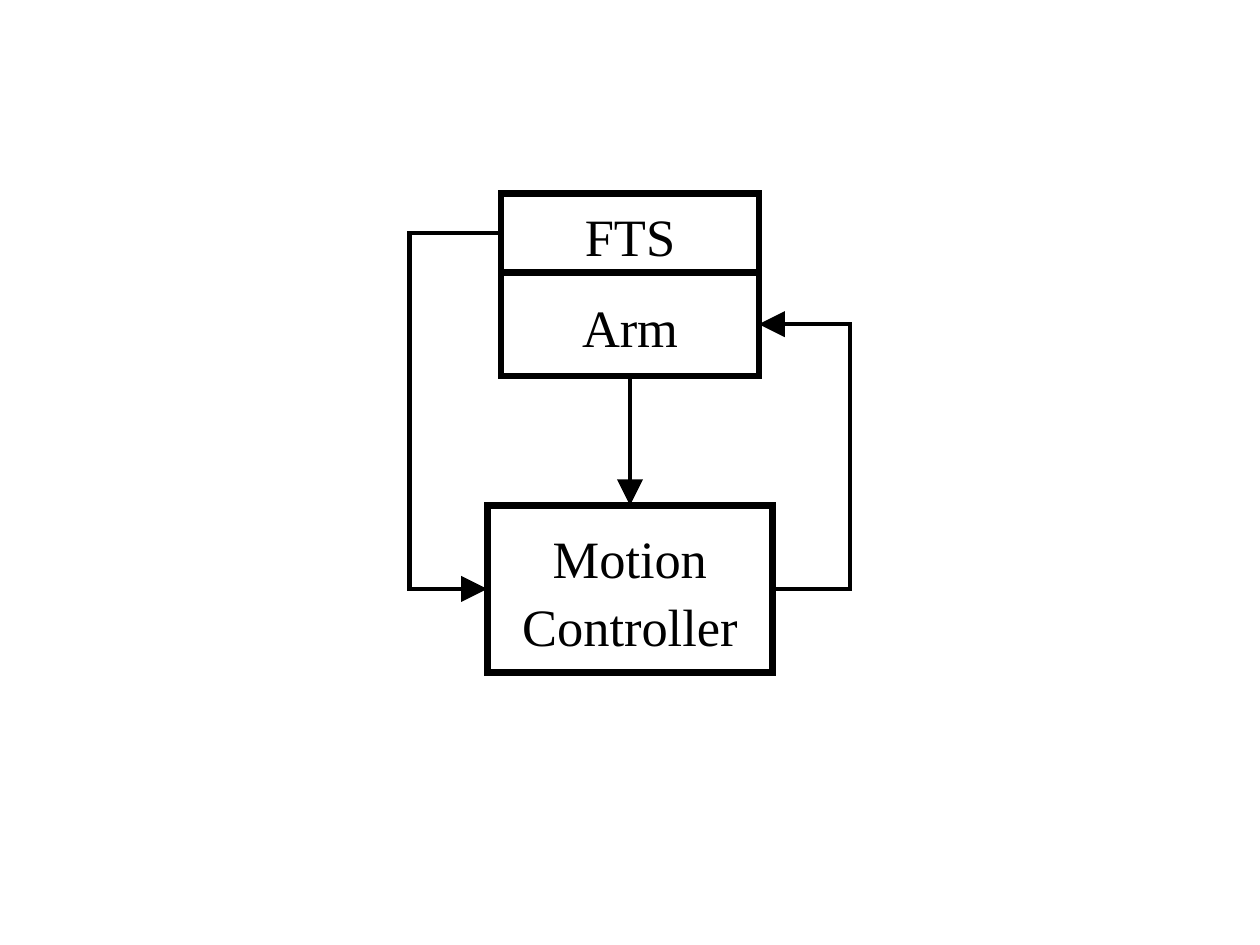
"""Build a block diagram of an arm, its FTS and the motion controller."""
from dataclasses import dataclass

from lxml import etree
from pptx import Presentation
from pptx import util as u
from pptx.dml.color import RGBColor
from pptx.enum import shapes, text
from pptx.oxml.ns import qn


@dataclass(frozen=True)
class Theme:
    """Hold the colours, type and line weights of the diagram."""
    ink: RGBColor = RGBColor(0, 0, 0)
    paper: RGBColor = RGBColor(255, 255, 255)
    font: str = "Times New Roman"
    size: int = u.Pt(12)
    leading: float = 1.08
    box_line: int = u.Pt(1.5)
    arrow_line: int = u.Pt(1)
    inset: int = u.Inches(0.01)


THEME = Theme()
WIDTH, HEIGHT = u.Inches(4), u.Inches(3)
COLUMN, ROW = WIDTH / 400, HEIGHT / 300
TOP, LEFT, BOTTOM, RIGHT = range(4)


def apply(target, values):
    """Set each named attribute on the target."""
    for name, value in values.items():
        setattr(target, name, value)


def style_line(line, width):
    """Give a line its ink, weight and square corners."""
    line.color.rgb = THEME.ink
    line.width = width
    properties = line._get_or_add_ln()
    etree.SubElement(properties, qn("a:miter"), lim="800000")
    return properties


def add_box(page, label, top, columns, rows):
    """Add a labelled rectangle centred across the page."""
    box = page.shapes.add_shape(
        shapes.MSO_SHAPE.RECTANGLE, round((WIDTH - columns * COLUMN) / 2),
        round(top * ROW), round(columns * COLUMN), round(rows * ROW))
    box.shadow.inherit = False
    box.fill.solid()
    box.fill.fore_color.rgb = THEME.paper
    style_line(box.line, THEME.box_line)
    frame = box.text_frame
    frame.text = label
    apply(frame, {"word_wrap": True, "vertical_anchor": text.MSO_ANCHOR.MIDDLE})
    apply(frame, {f"margin_{side}": THEME.inset
                  for side in ("left", "top", "right", "bottom")})
    for para in frame.paragraphs:
        apply(para, {"alignment": text.PP_ALIGN.CENTER,
                     "line_spacing": THEME.leading})
        apply(para.font, {"name": THEME.font, "size": THEME.size})
        para.font.color.rgb = THEME.ink
    return box


def add_arrow(page, source, source_side, target, target_side, via=None):
    """Join two boxes by an arrow, bent at the column via if one is given."""
    kind = shapes.MSO_CONNECTOR
    arrow = page.shapes.add_connector(
        kind.STRAIGHT if via is None else kind.ELBOW, 0, 0, 0, 0)
    arrow.begin_connect(source, source_side)
    arrow.end_connect(target, target_side)
    properties = arrow._element.spPr
    if via is not None:
        bend = (via * COLUMN - arrow.begin_x) / (arrow.end_x - arrow.begin_x)
        guides = properties.find(qn("a:prstGeom")).get_or_add_avLst()
        etree.SubElement(guides, qn("a:gd"), name="adj1",
                         fmla=f"val {round(bend * 100000)}")
    line = style_line(arrow.line, THEME.arrow_line)
    etree.SubElement(line, qn("a:tailEnd"), type="triangle")
    etree.SubElement(properties, qn("a:effectLst"))


def main():
    """Draw the diagram and save the deck."""
    deck = Presentation()
    apply(deck, {"slide_width": WIDTH, "slide_height": HEIGHT})
    page = deck.slides.add_slide(deck.slide_layouts[6])
    sensor_top, sensor_rows, arm_columns = 61.5, 25, 82
    controller = add_box(page, "Motion\nController", 160.5, 90.5, 53)
    sensor = add_box(page, "FTS", sensor_top, arm_columns, sensor_rows)
    arm = add_box(page, "Arm", sensor_top + sensor_rows, arm_columns, 33)
    add_arrow(page, sensor, LEFT, controller, LEFT, via=130)
    add_arrow(page, controller, RIGHT, arm, RIGHT, via=270)
    add_arrow(page, arm, BOTTOM, controller, TOP)
    deck.save("out.pptx")


if __name__ == "__main__":
    main()
